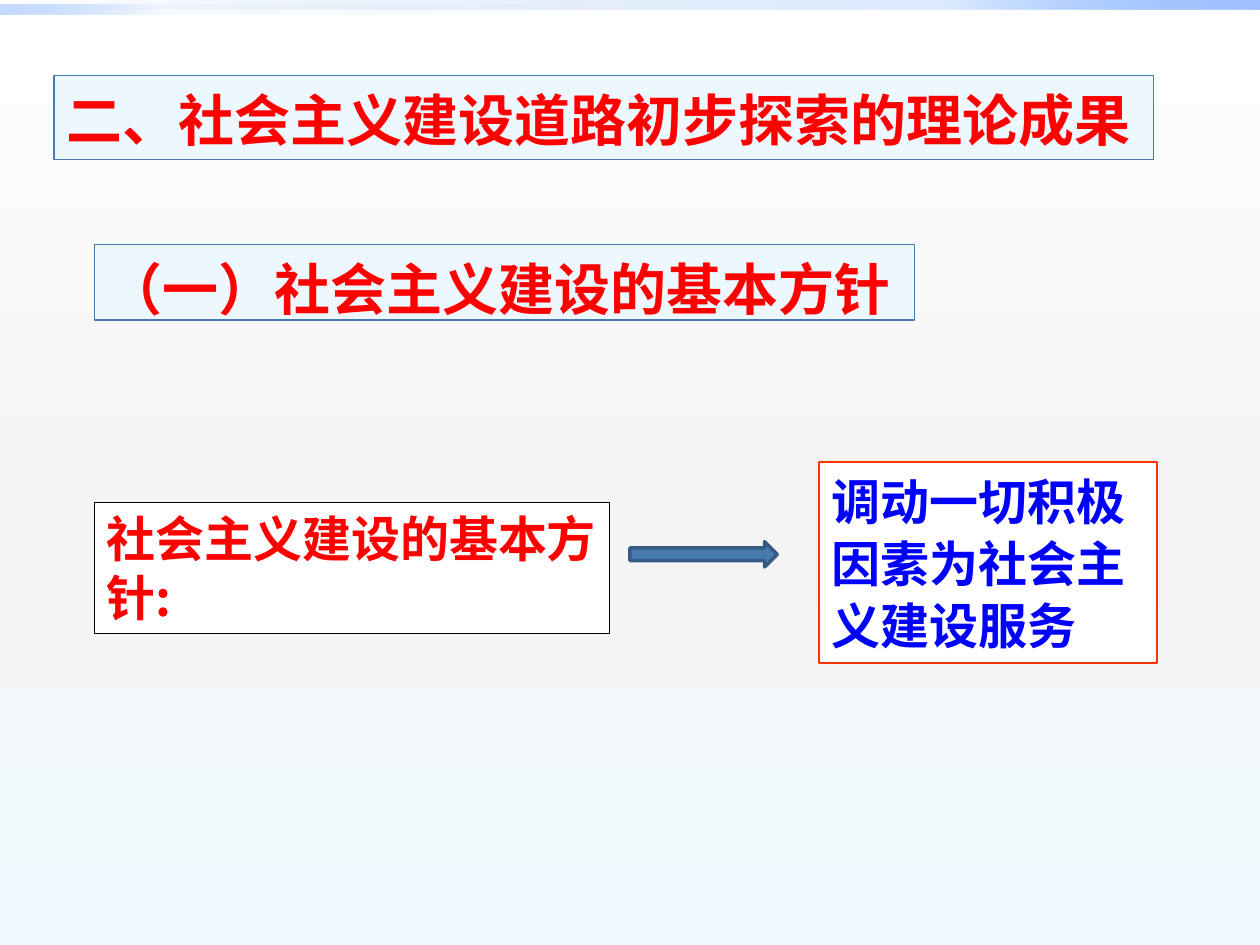
from lxml.etree import SubElement
from pptx import Presentation
from pptx.dml.color import RGBColor
from pptx.enum.shapes import MSO_SHAPE
from pptx.enum.text import MSO_ANCHOR, MSO_AUTO_SIZE, PP_ALIGN
from pptx.oxml.ns import qn
from pptx.util import Cm, Pt

# Content: positions are left, top, width, height in centimetres
HEADING = "二、社会主义建设道路初步探索的理论成果"
SUBHEADING = "（一）社会主义建设的基本方针"
POLICY = "社会主义建设的基本方针:"
ANSWER = "调动一切积极因素为社会主义建设服务"

HEADING_AT = (1.09, 1.52, 22.17, 1.7)
SUBHEADING_AT = (1.9, 4.93, 16.54, 1.52)
POLICY_AT = (1.9, 10.13, 10.39, 2.64)
ANSWER_AT = (16.51, 9.32, 6.81, 4.04)
ARROW_AT = (12.7, 10.92, 2.97, 0.51)

PALE, BLUE, RED = "EDF8FE", "477AB1", "FF0000"
CHINESE = "Noto Sans CJK SC"

# Gradient stops: position, colour, opacity (all in percent)
BACKGROUND = [(0, "FFFFFF", 100), (55, "F4F4F4", 100), (100, "EEF9FF", 100)]
BARS = [
    ((0, 0, 25.4, 0.2), 315,
     [(0, "0058B7", 0), (75, "4F95FF", 20), (100, "9EC2FF", 100)]),
    ((0, 0.1, 12.7, 0.2), 135,
     [(0, "0058B7", 0), (75, "4F95FF", 5), (100, "9EC2FF", 60)]),
]


def color(value):
    return RGBColor.from_string(value)


def set_gradient(fill, parent, stops, angle):
    """Fill with any number of stops; the angle runs clockwise."""
    fill.gradient()
    fill.gradient_angle = 360 - angle
    stop_list = next(parent.iter(qn("a:gsLst")))
    for old_stop in list(stop_list):
        stop_list.remove(old_stop)
    for position, value, opacity in stops:
        stop = SubElement(stop_list, qn("a:gs"), pos=str(position * 1000))
        tint = SubElement(stop, qn("a:srgbClr"), val=value)
        if opacity < 100:
            SubElement(tint, qn("a:alpha"), val=str(opacity * 1000))


def place(shape, position):
    shape.left, shape.top, shape.width, shape.height = map(Cm, position)


def paint(shape, fill, line, weight):
    shape.fill.solid()
    shape.fill.fore_color.rgb = color(fill)
    shape.line.color.rgb = color(line)
    shape.line.width = Pt(weight)


def write(box, text, *, size, value, latin=CHINESE, asian=CHINESE, spacing=1.0):
    frame = box.text_frame
    frame.word_wrap = True
    frame.auto_size = MSO_AUTO_SIZE.NONE
    frame.vertical_anchor = MSO_ANCHOR.TOP
    frame.margin_left = frame.margin_right = Cm(0.25)
    frame.margin_top = frame.margin_bottom = Cm(0.13)
    para = frame.paragraphs[0]
    properties = para._p.get_or_add_pPr()
    properties.set("marL", "0")
    properties.set("indent", "0")
    SubElement(properties, qn("a:buNone"))
    para.alignment = PP_ALIGN.LEFT
    para.line_spacing = spacing
    para.space_before = Pt(0)
    span = para.add_run()
    span.text = text
    span.font.size = Pt(size)
    span.font.bold = True
    span.font.color.rgb = color(value)
    span.font.name = latin
    SubElement(span._r.get_or_add_rPr(), qn("a:ea"), typeface=asian)


def add_shape(slide, kind, position):
    shape = slide.shapes.add_shape(kind, *map(Cm, position))
    shape.shadow.inherit = False
    return shape


def main():
    deck = Presentation()
    deck.slide_width, deck.slide_height = Cm(25.4), Cm(19.05)
    page = deck.slides.add_slide(deck.slide_layouts[1])

    # Background and the two bars along the top edge
    set_gradient(page.background.fill, page._element, BACKGROUND, 90)
    for position, angle, stops in BARS:
        bar = add_shape(page, MSO_SHAPE.RECTANGLE, position)
        set_gradient(bar.fill, bar._element, stops, angle)
        bar.line.fill.background()

    # Headings
    heading = page.shapes.title
    place(heading, HEADING_AT)
    subheading = add_shape(page, MSO_SHAPE.RECTANGLE, SUBHEADING_AT)
    for box, text, font in ((heading, HEADING, "Noto Sans CJK JP"),
                            (subheading, SUBHEADING, CHINESE)):
        paint(box, PALE, BLUE, 0.75)
        write(box, text, size=32, value=RED, latin=font, asian=font, spacing=1.05)

    # Policy, arrow and answer
    policy = add_shape(page, MSO_SHAPE.RECTANGLE, POLICY_AT)
    paint(policy, "FFFFFF", "000000", 0.75)
    write(policy, POLICY, size=28, value=RED)

    arrow = add_shape(page, MSO_SHAPE.RIGHT_ARROW, ARROW_AT)
    paint(arrow, BLUE, "355A83", 2)

    answer = page.placeholders[1]
    place(answer, ANSWER_AT)
    paint(answer, "FFFFFF", "FF3300", 1)
    write(answer, ANSWER, size=28, value="0000FF", latin="Times New Roman", spacing=1.05)

    deck.save("out.pptx")


if __name__ == "__main__":
    main()
